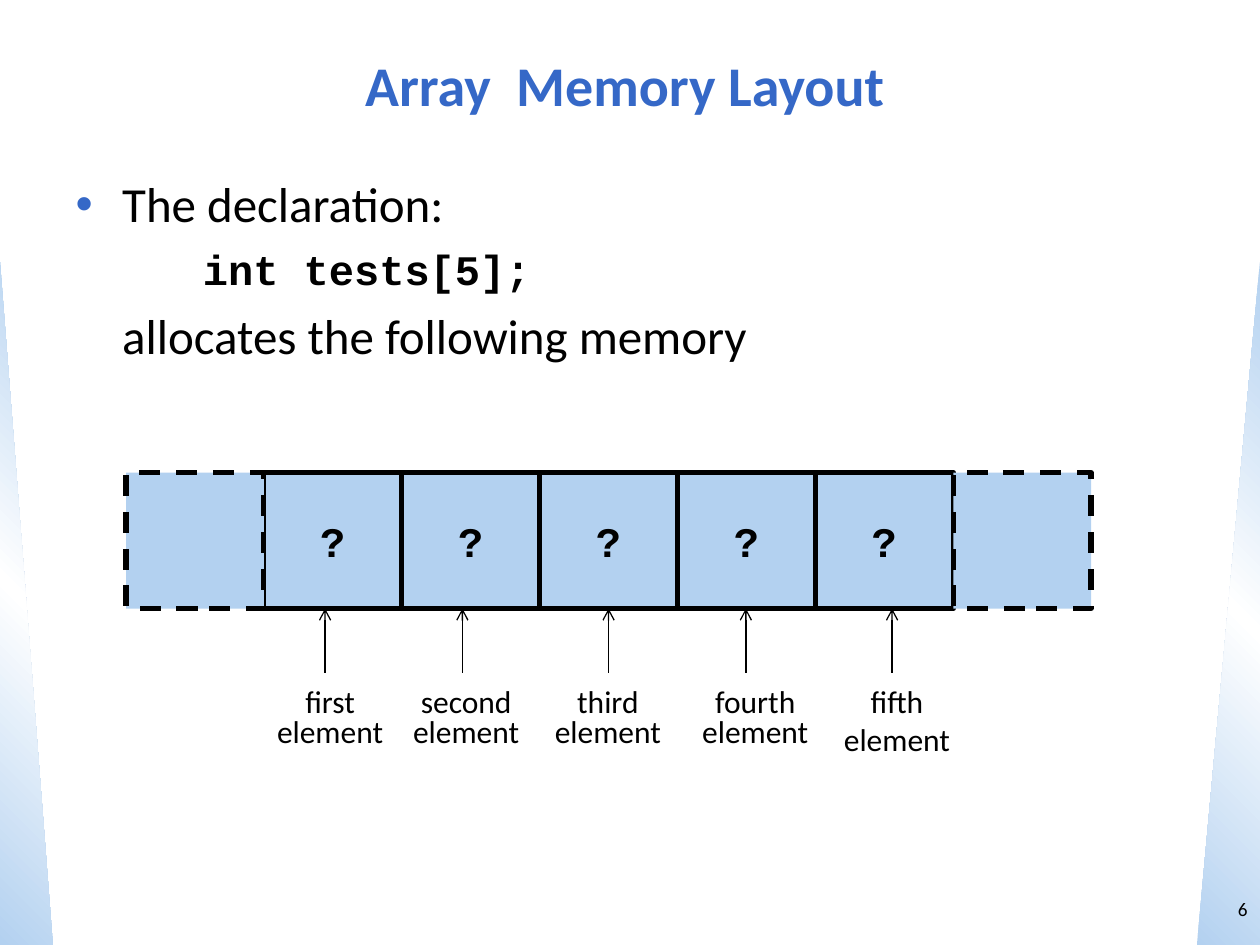
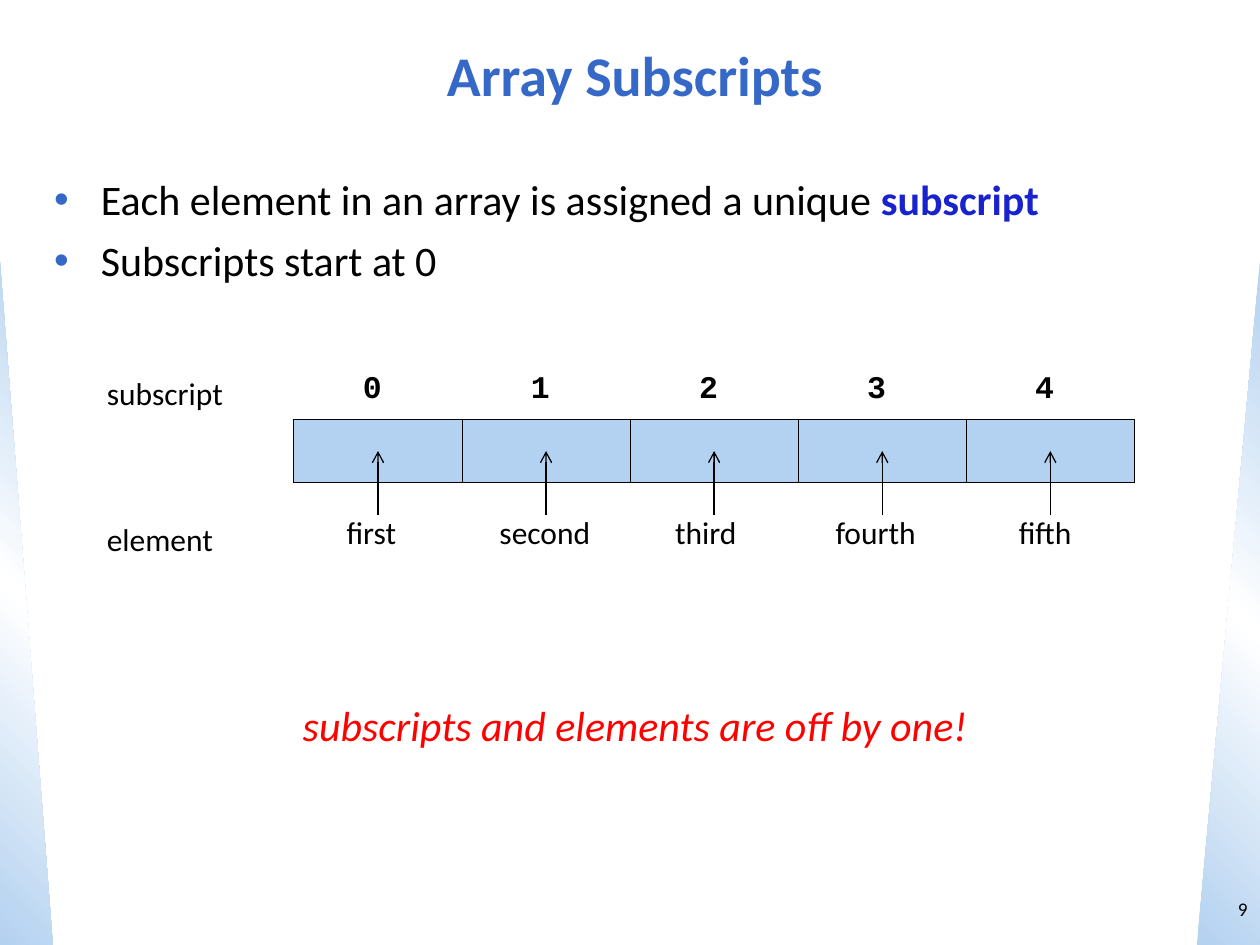
from lxml.etree import SubElement
from pptx import Presentation
from pptx.dml.color import RGBColor
from pptx.enum.dml import MSO_LINE_DASH_STYLE as Dash
from pptx.enum.shapes import MSO_CONNECTOR, MSO_SHAPE
from pptx.enum.text import MSO_ANCHOR as Anchor, MSO_AUTO_SIZE as AutoSize, PP_ALIGN as Align
from pptx.oxml import parse_xml
from pptx.oxml.ns import nsdecls, qn
from pptx.util import Inches, Pt

TITLE_BLUE = RGBColor(0x35, 0x68, 0xC7)
TERM_BLUE = RGBColor(0x18, 0x22, 0xCD)
CELL_BLUE = RGBColor(0xB3, 0xD1, 0xF0)
WHITE = RGBColor(0xFF, 0xFF, 0xFF)
BLACK = RGBColor(0, 0, 0)
RED = RGBColor(0xFF, 0, 0)
SANS, MONO = "Calibri", "Courier New"

# Side bands: left, width, gradient angle, mirrored
BANDS = [(0, 0.42, 315, False), (9.5, 0.5, 45, True)]

# Body paragraphs: text, size, font, left margin, bulleted, space before
LAYOUT_BODY = [
    ("The declaration:", 28, SANS, 0.37, True, 7),
    ("int tests[5];", 24, MONO, 1.01, False, 6),
    ("allocates the following memory", 28, SANS, 0.37, False, 7),
]
SUBSCRIPT_BODY = [
    ("Each element in an array is assigned a unique ", 24, SANS, 0.37, True, 6),
    ("Subscripts start at 0", 24, SANS, 0.37, True, 6),
]
KEY_TERM = "subscript"

ELEMENT_LABELS = ["first element", "second element", "third element",
                  "fourth element", "fifth\nelement"]
LABEL_WIDTHS = [1.08, 1.08, 1.17, 1.17, 1.08]
LAYOUT_ARROWS = [2.58, 3.67, 4.83, 5.92, 7.08]
MEMORY_LEFT, MEMORY_TOP, MEMORY_WIDTH, CELL_HEIGHT = 1, 3.75, 7.66, 1.08
MEMORY_CELLS = ["", "?", "?", "?", "?", "?", ""]

SUBSCRIPTS = ["0", "1", "2", "3", "4"]
ORDINALS = ["first", "second", "third", "fourth", "fifth"]
ORDINAL_INSETS = [0.33, 0.21, 0.27, 0.21, 0.33]
COLUMN = 6.67 / len(SUBSCRIPTS)
COLUMNS = [COLUMN] * len(SUBSCRIPTS)


def inches(*lengths):
    return [Inches(length) for length in lengths]


def style(span, size, font=SANS, color=BLACK, bold=False, italic=False):
    span.font.size, span.font.name = Pt(size), font
    span.font.bold, span.font.italic = bold, italic
    span.font.color.rgb = color


def style_frame(frame, size, align=Align.LEFT, **look):
    for para in frame.paragraphs:
        para.alignment = align
        for span in para.runs:
            style(span, size, **look)


def move(shape, place):
    shape.left, shape.top, shape.width, shape.height = inches(*place)


def add_text(slide, text, place, size=18, anchor=Anchor.TOP, wrap=True, **look):
    frame = slide.shapes.add_textbox(*inches(*place)).text_frame
    frame.text, frame.word_wrap, frame.vertical_anchor = text, wrap, anchor
    style_frame(frame, size, **look)


def add_bands(slide, layout):
    """Draw the side bands and hand them to the layout, so every slide shows them."""
    for number, (left, width, angle, mirrored) in enumerate(BANDS):
        band = slide.shapes.add_shape(MSO_SHAPE.RIGHT_TRIANGLE, *inches(left, 2.08, width, 5.42))
        band.shadow.inherit = False
        band.line.fill.background()
        stops = "".join(
            f'<a:gs pos="{position}"><a:srgbClr val="{color}"/></a:gs>'
            for position, color in ((0, CELL_BLUE), (50000, WHITE), (100000, CELL_BLUE)))
        properties = band.element.spPr
        properties.find(qn("a:prstGeom")).addnext(parse_xml(
            f'<a:gradFill {nsdecls("a")} rotWithShape="1"><a:gsLst>{stops}</a:gsLst>'
            f'<a:lin ang="{angle * 60000}" scaled="0"/></a:gradFill>'))
        if mirrored:
            properties.find(qn("a:xfrm")).set("flipH", "1")
        band.element.nvSpPr.cNvPr.set("id", str(20 + number))
        layout.shapes.element.append(band.element)


def add_slide(deck, title, title_place, body, body_place, page_number):
    slide = deck.slides.add_slide(deck.slide_layouts[1])
    heading = slide.shapes.title
    move(heading, title_place)
    heading.text_frame.text = title
    heading.text_frame.vertical_anchor = Anchor.MIDDLE
    heading.text_frame.auto_size = AutoSize.NONE
    style_frame(heading.text_frame, 32, Align.CENTER, color=TITLE_BLUE, bold=True)

    content = slide.placeholders[1]
    move(content, body_place)
    frame = content.text_frame
    frame.text = "\n".join(item[0] for item in body)
    frame.auto_size = AutoSize.NONE
    for para, (_, size, font, margin, bulleted, before) in zip(frame.paragraphs, body):
        style(para.runs[0], size, font, bold=font == MONO)
        para.space_before = Pt(before)
        set_bullet(para, margin, bulleted)

    add_text(slide, str(page_number), (9.5, 6.92, 0.5, 0.58), 11, Anchor.MIDDLE,
             align=Align.RIGHT)
    return slide


def set_bullet(para, margin, bulleted):
    properties = para._p.get_or_add_pPr()
    properties.set("marL", str(Inches(margin)))
    properties.set("indent", str(Inches(-margin if bulleted else 0)))
    if bulleted:
        color = SubElement(properties, qn("a:buClr"))
        SubElement(color, qn("a:srgbClr")).set("val", str(TITLE_BLUE))
        SubElement(properties, qn("a:buChar")).set("char", "•")
    else:
        SubElement(properties, qn("a:buNone"))


def add_row(slide, texts, left, top, widths, height):
    """Add a one-row table without style and return its cells."""
    frame = slide.shapes.add_table(1, len(texts), *inches(left, top, sum(widths), height))
    table = frame.table
    table.first_row = table.horz_banding = False
    style_id = next(frame.element.iter(qn("a:tableStyleId")))
    style_id.text = "{2D5ABB26-0587-4C30-8999-92F81FD0307C}"  # no style, no grid
    for column, width, text in zip(table.columns, widths, texts):
        column.width = Inches(width)
    cells = list(table.iter_cells())
    for cell, text in zip(cells, texts):
        cell.text = text
        cell.fill.background()
    return cells


def style_cell(cell, spacing, align=Align.LEFT, inset=0.1, **look):
    cell.margin_left = Inches(inset)
    style_frame(cell.text_frame, 18, align, **look)
    for para in cell.text_frame.paragraphs:
        para.line_spacing, para.space_before = spacing, Pt(4.5)


def fill_and_border(cell):
    properties = cell._tc.get_or_add_tcPr()
    for side in ("lnL", "lnR", "lnT", "lnB"):
        border = SubElement(properties, qn(f"a:{side}"), w=str(Pt(0.1)))
        fill = SubElement(border, qn("a:solidFill"))
        SubElement(fill, qn("a:srgbClr")).set("val", str(BLACK))
    cell.fill.solid()
    cell.fill.fore_color.rgb = CELL_BLUE


def add_up_arrow(slide, x, bottom, top):
    arrow = slide.shapes.add_connector(MSO_CONNECTOR.STRAIGHT, *inches(x, bottom, x, top))
    arrow.line.color.rgb, arrow.line.width = BLACK, Pt(0.75)
    SubElement(arrow.line._get_or_add_ln(), qn("a:tailEnd")).set("type", "arrow")
    SubElement(arrow.element.spPr, qn("a:effectLst"))


def add_memory(slide):
    """Draw the memory cells; the ones outside the array are dashed and lie on top."""
    group = slide.shapes.add_group_shape()
    width = MEMORY_WIDTH / len(MEMORY_CELLS)
    ordered = sorted(enumerate(MEMORY_CELLS), key=lambda item: item[1] == "")
    for index, value in ordered:
        box = group.shapes.add_shape(MSO_SHAPE.RECTANGLE, *inches(
            MEMORY_LEFT + index * width, MEMORY_TOP, width, CELL_HEIGHT))
        box.shadow.inherit = False
        box.fill.solid()
        box.fill.fore_color.rgb = CELL_BLUE
        box.line.color.rgb, box.line.width = BLACK, Pt(3)
        if value:
            box.text_frame.text = value
            box.text_frame.vertical_anchor = Anchor.MIDDLE
            style_frame(box.text_frame, 24, Align.CENTER, font=MONO, bold=True)
        else:
            box.line.dash_style = Dash.DASH
            box.line._get_or_add_ln().set("cap", "sq")


def build_memory_layout(deck):
    slide = add_slide(deck, "Array  Memory Layout", (0.25, 0.25, 9.42, 0.83),
                      LAYOUT_BODY, (0.5, 1.33, 9, 5.58), 6)
    add_bands(slide, deck.slide_layouts[1])
    for cell in add_row(slide, ELEMENT_LABELS, 2.08, 5.42, LABEL_WIDTHS, 1.2):
        style_cell(cell, 0.79, Align.CENTER)
    for x in LAYOUT_ARROWS:
        add_up_arrow(slide, x, 5.34, MEMORY_TOP + CELL_HEIGHT)
    add_memory(slide)


def build_subscripts(deck):
    slide = add_slide(deck, "Array Subscripts", (0.75, 0.17, 8.58, 0.83),
                      SUBSCRIPT_BODY, (0.33, 1.33, 9.07, 5), 9)
    term = slide.placeholders[1].text_frame.paragraphs[0].add_run()
    term.text = KEY_TERM
    style(term, 24, color=TERM_BLUE, bold=True)

    for cell in add_row(slide, SUBSCRIPTS, 2.33, 2.92, COLUMNS, 0.45):
        style_cell(cell, 0.85, inset=0.55, font=MONO, bold=True)
    for cell in add_row(slide, [""] * len(SUBSCRIPTS), 2.33, 3.33, COLUMNS, 0.5):
        fill_and_border(cell)
    ordinal_cells = add_row(slide, ORDINALS, 2.42, 4.08, COLUMNS, 0.49)
    for cell, inset in zip(ordinal_cells, ORDINAL_INSETS):
        style_cell(cell, 0.79, inset=inset)
    for index in range(len(SUBSCRIPTS)):
        add_up_arrow(slide, 3 + index * COLUMN, 4.09, 3.58)

    add_text(slide, "subscript", (0.75, 2.92, 1.53, 0.4))
    add_text(slide, "element", (0.75, 4.08, 1.53, 0.4))
    add_text(slide, "subscripts and elements are off by one!", (2.3, 5.5, 5.48, 0.5), 24,
             wrap=False, align=Align.CENTER, color=RED, italic=True)


def main():
    deck = Presentation()
    deck.slide_width, deck.slide_height = inches(10, 7.5)
    build_memory_layout(deck)
    build_subscripts(deck)
    deck.save("out.pptx")


if __name__ == "__main__":
    main()
